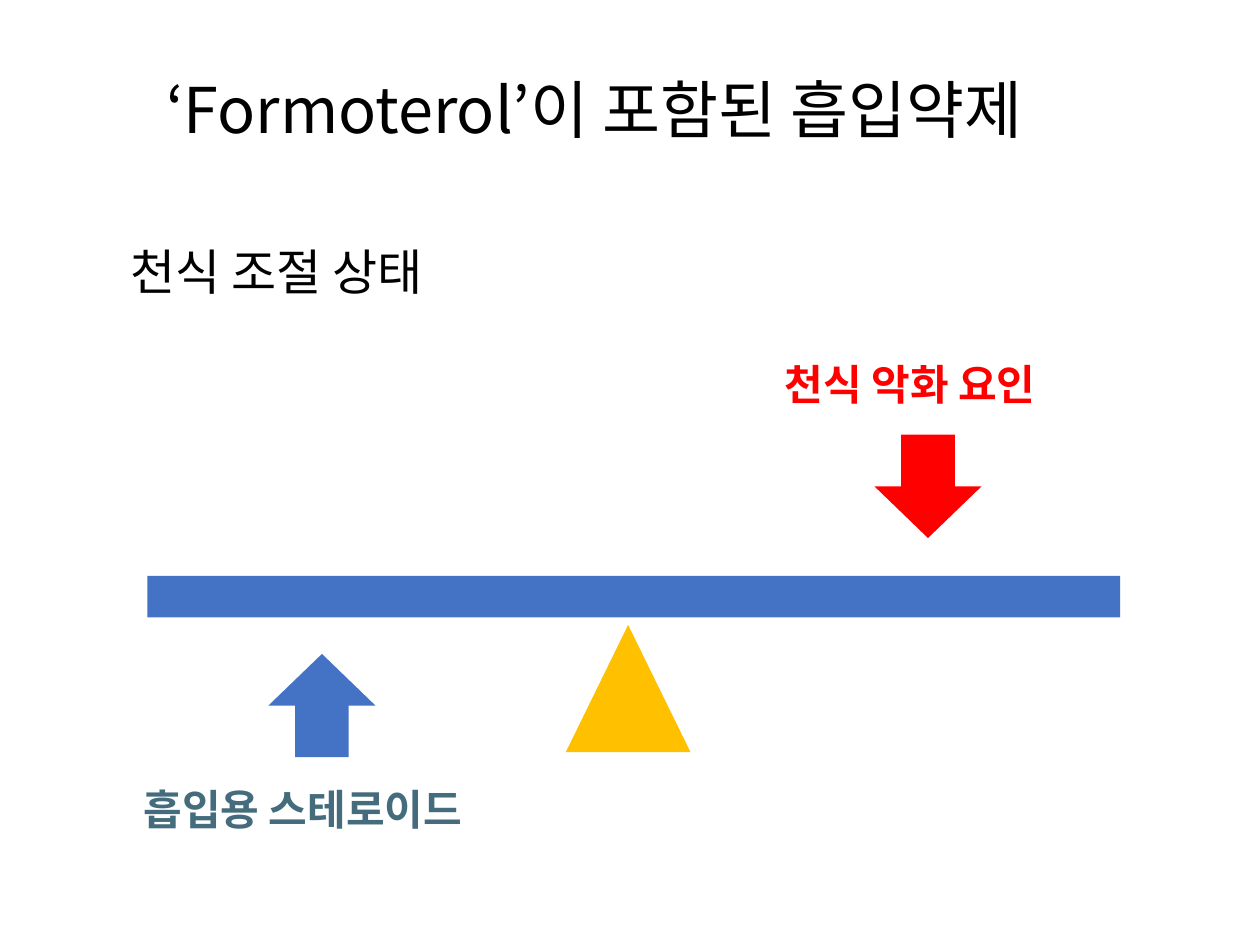
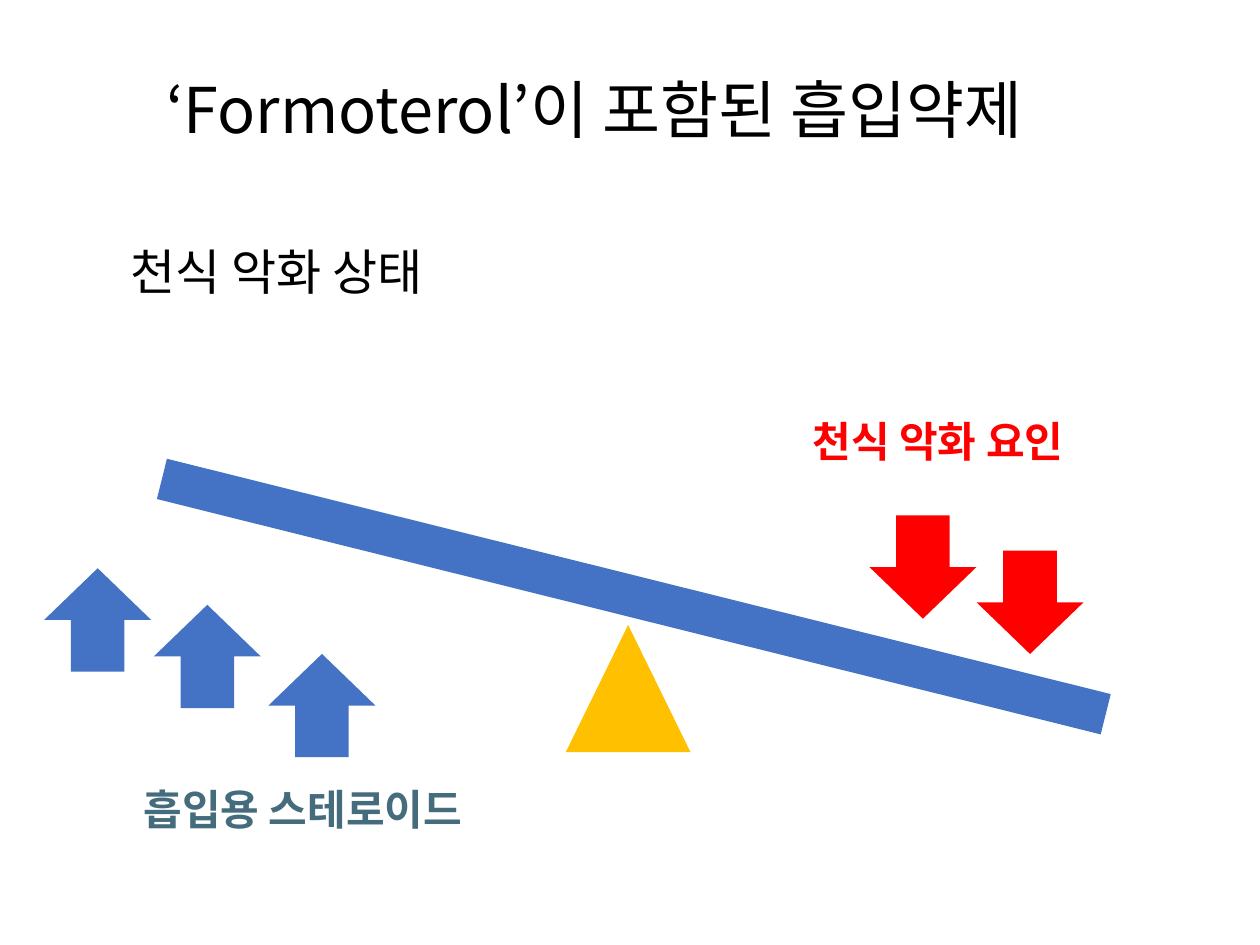
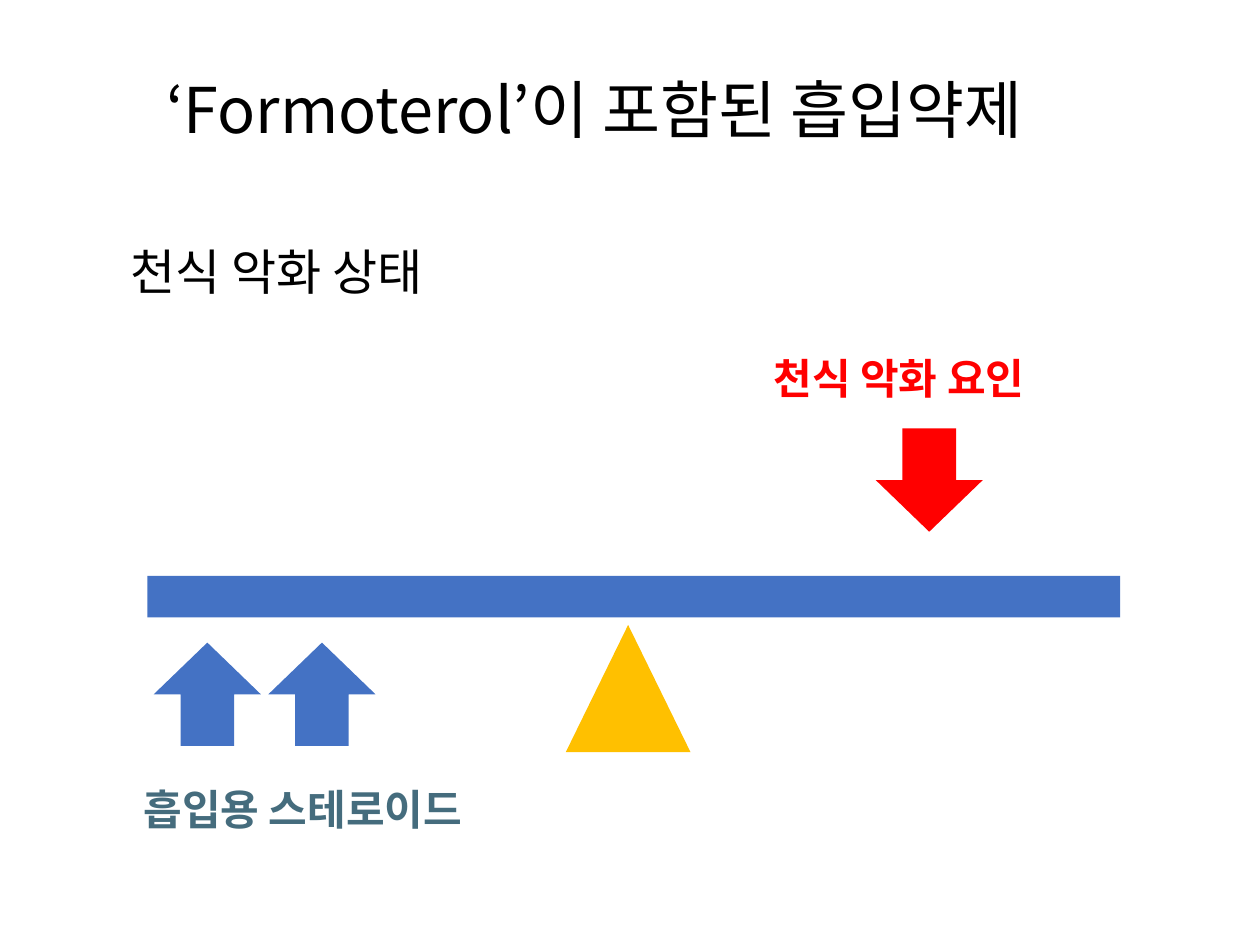
from dataclasses import dataclass

from lxml.etree import SubElement
from pptx import Presentation
from pptx.dml.color import RGBColor
from pptx.enum.shapes import MSO_SHAPE as Preset
from pptx.enum.text import MSO_ANCHOR as Anchor, MSO_AUTO_SIZE as AutoSize
from pptx.oxml.ns import qn
from pptx.slide import Slide
from pptx.util import Inches, Pt


@dataclass(frozen=True)
class Theme:
    black: str = "000000"
    blue: str = "4472C4"
    gold: str = "FFC000"
    red: str = "FF0000"
    teal: str = "456C7D"
    title_size: int = 36
    state_size: int = 28
    label_size: int = 24
    korean_font: str = "Noto Sans CJK KR"
    latin_font: str = "Calibri"


@dataclass(frozen=True)
class Box:
    left: float
    top: float
    width: float
    height: float

    def lengths(self) -> list[Inches]:
        return [Inches(n) for n in (self.left, self.top, self.width, self.height)]


@dataclass(frozen=True)
class Point:
    left: float
    top: float


@dataclass(frozen=True)
class Balance:
    state: str
    tilt: float
    trigger_label: Point
    triggers: tuple[Point, ...]
    steroids: tuple[Point, ...]


THEME = Theme()
TITLE = Box(1.22, 0.17, 8.62, 1.45)
STATE = Box(0.94, 1.87, 2.74, 0.57)
BEAM = Box(1.17, 4.57, 7.72, 0.33)
PIVOT = Box(4.49, 4.96, 0.99, 1.01)
STEROID_LABEL = Box(1.04, 6.17, 3.01, 0.5)
ARROW_WIDTH, ARROW_HEIGHT = 0.85, 0.82

BALANCES = (
    Balance("천식 조절 상태", 0, Point(6.13, 2.8),
            (Point(6.94, 3.45),),
            (Point(2.13, 5.19),)),
    Balance("천식 악화 상태", 14, Point(6.35, 3.25),
            (Point(6.9, 4.09), Point(7.75, 4.37)),
            (Point(2.13, 5.19), Point(1.22, 4.8), Point(0.35, 4.51))),
    Balance("천식 악화 상태", 0, Point(6.04, 2.75),
            (Point(6.95, 3.4),),
            (Point(2.13, 5.1), Point(1.22, 5.1))),
)


def add_text(slide: Slide, text: str, box: Box, *, size: int,
             color: str = THEME.black, font: str = THEME.korean_font,
             bold: bool = False, wrap: bool = False,
             anchor: Anchor = Anchor.TOP, spacing: float = 1.0) -> None:
    frame = slide.shapes.add_textbox(*box.lengths()).text_frame
    frame.word_wrap = wrap
    frame.auto_size = AutoSize.NONE if wrap else AutoSize.SHAPE_TO_FIT_TEXT
    frame.vertical_anchor = anchor
    paragraph = frame.paragraphs[0]
    paragraph.line_spacing = spacing
    run = paragraph.add_run()
    run.text = text
    run.font.size = Pt(size)
    run.font.bold = bold
    run.font.name = font
    run.font.color.rgb = RGBColor.from_string(color)
    east_asian = SubElement(run.font._element, qn("a:ea"))
    east_asian.set("typeface", THEME.korean_font)


def add_figure(slide: Slide, preset: Preset, box: Box, color: str,
               rotation: float = 0) -> None:
    figure = slide.shapes.add_shape(preset, *box.lengths())
    figure.rotation = rotation
    figure.shadow.inherit = False
    figure.fill.solid()
    figure.fill.fore_color.rgb = RGBColor.from_string(color)
    figure.line.fill.background()


def add_arrows(slide: Slide, points: tuple[Point, ...], color: str,
               rotation: float = 0) -> None:
    for point in points:
        box = Box(point.left, point.top, ARROW_WIDTH, ARROW_HEIGHT)
        add_figure(slide, Preset.DOWN_ARROW, box, color, rotation)


def draw_balance(slide: Slide, balance: Balance) -> None:
    add_text(slide, "‘Formoterol’이 포함된 흡입약제", TITLE, size=THEME.title_size,
             wrap=True, anchor=Anchor.MIDDLE, spacing=0.9)
    add_text(slide, balance.state, STATE, size=THEME.state_size,
             font=THEME.latin_font)
    add_figure(slide, Preset.RECTANGLE, BEAM, THEME.blue, balance.tilt)
    add_figure(slide, Preset.ISOSCELES_TRIANGLE, PIVOT, THEME.gold)
    trigger_box = Box(balance.trigger_label.left, balance.trigger_label.top, 2.46, 0.5)
    add_text(slide, "천식 악화 요인", trigger_box, size=THEME.label_size,
             color=THEME.red, bold=True)
    add_text(slide, "흡입용 스테로이드", STEROID_LABEL, size=THEME.label_size,
             color=THEME.teal, bold=True)
    add_arrows(slide, balance.steroids, THEME.blue, rotation=180)
    add_arrows(slide, balance.triggers, THEME.red)


def main() -> None:
    deck = Presentation()
    deck.slide_width, deck.slide_height = Inches(10), Inches(7.5)
    blank = deck.slide_layouts[6]
    for balance in BALANCES:
        draw_balance(deck.slides.add_slide(blank), balance)
    deck.save("out.pptx")


if __name__ == "__main__":
    main()
